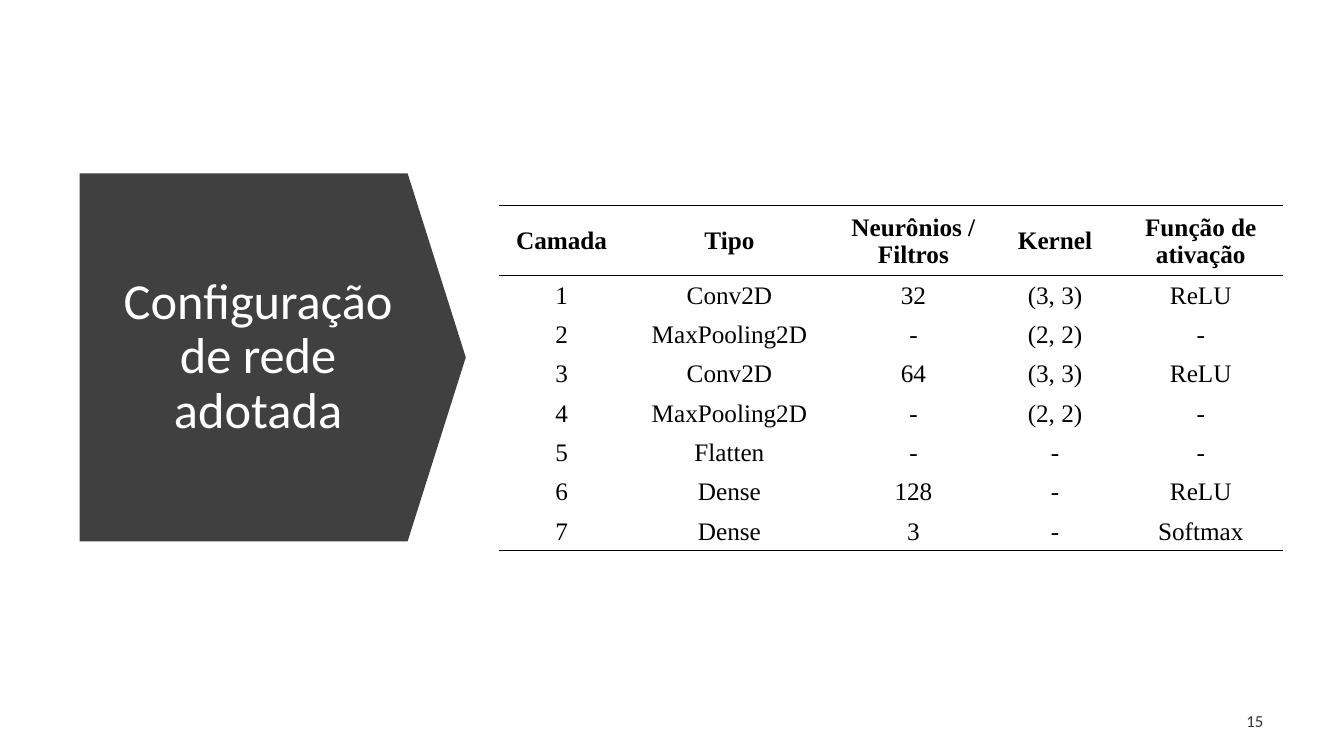
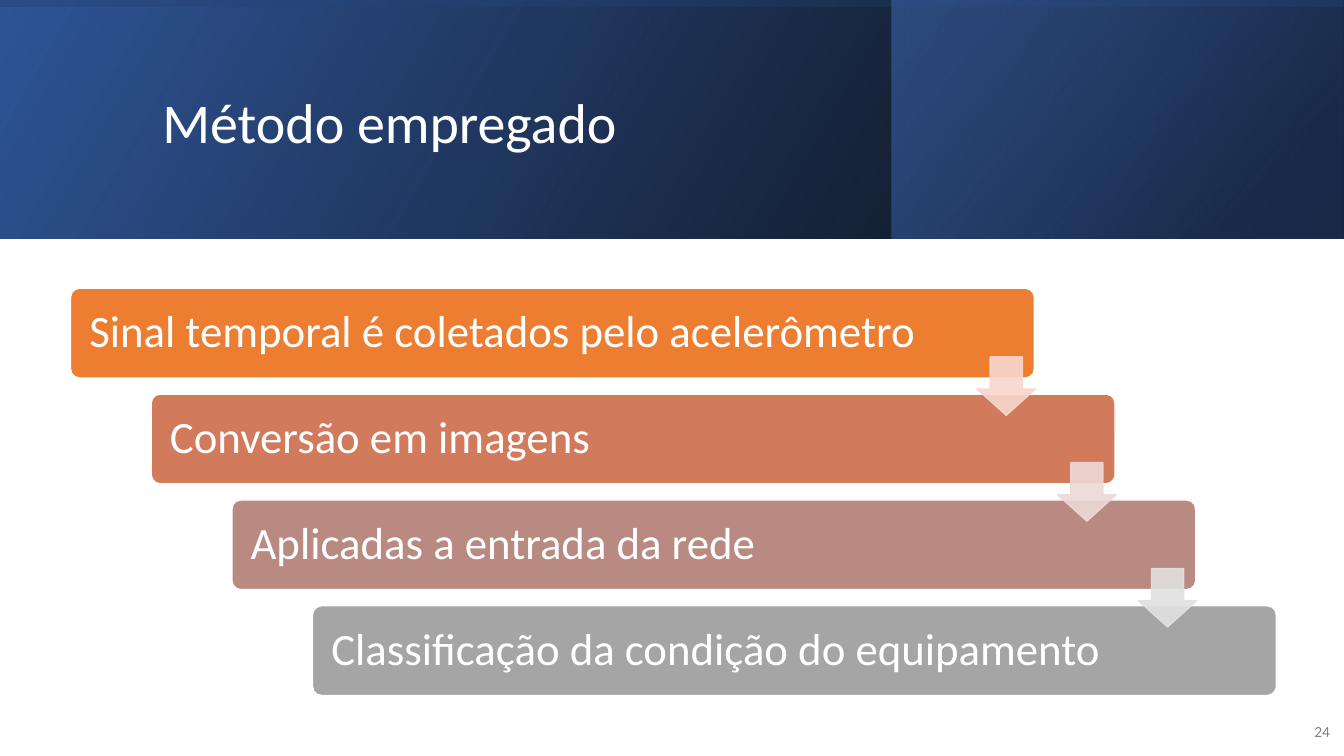
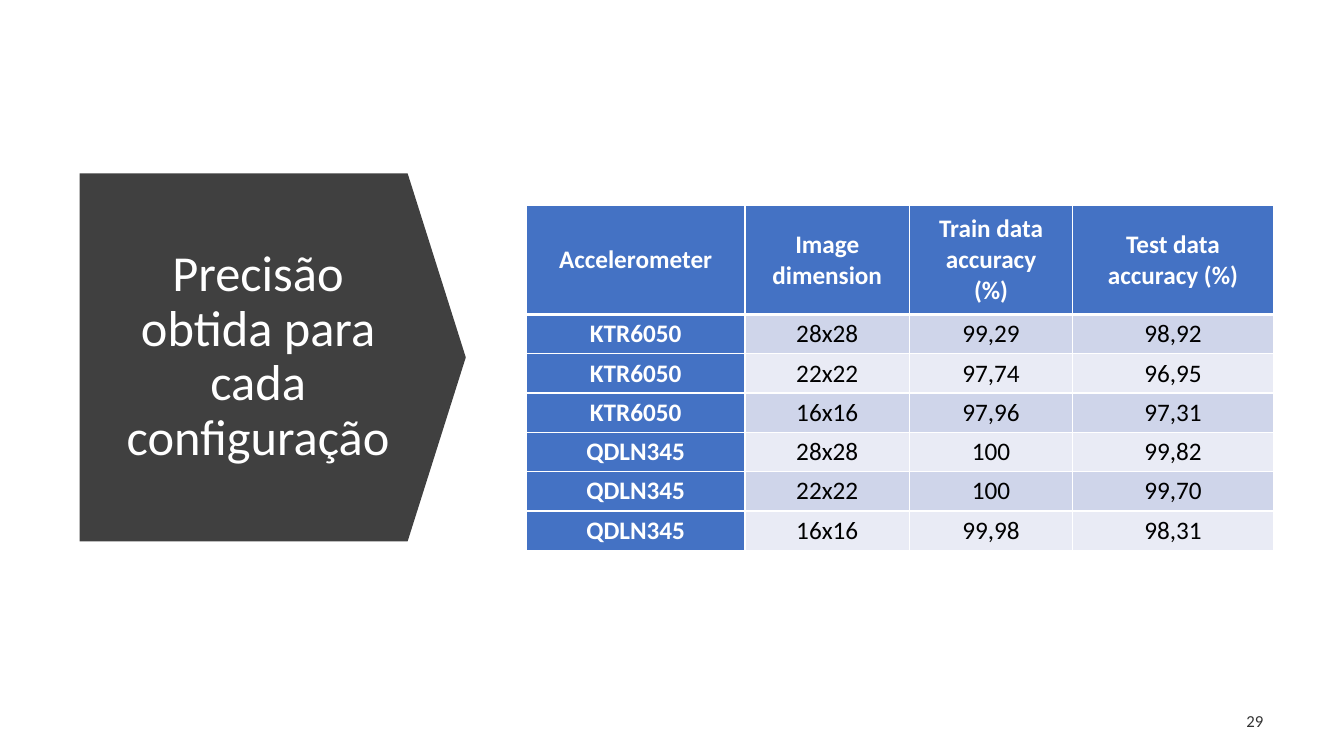
from pptx import Presentation
from pptx.dml.color import RGBColor
from pptx.enum import shapes, text
from pptx.oxml import ns
from pptx.util import Inches, Pt
from lxml import etree


class Theme:
    sans, serif = "Calibri", "Times New Roman"
    white, black, grey, dark = "FFFFFF", "000000", "808080", "404040"
    blue, navy, deep = "4472C4", "2F5597", "203864"
    stripes = ["CFD5EA", "E9EBF5"]
    steps = ["ED7D31", "D17B5C", "B98A82", "A5A5A5"]
    arrows = ["F8D7CE", "EDD9D7", "E1E1E1"]
    step_size, cell_size = 32, 18


SHAPE, ALIGN = shapes.MSO_SHAPE, text.PP_ALIGN
MIDDLE = text.MSO_ANCHOR.MIDDLE


def put(tf, words, size, color, align=ALIGN.LEFT, font=Theme.sans, bold=False, spacing=None):
    tf.text = words
    for p in tf.paragraphs:
        p.alignment, p.line_spacing = align, spacing
        for r in p.runs:
            for k, v in {"name": font, "size": Pt(size), "bold": bold}.items():
                setattr(r.font, k, v)
            r.font.color.rgb = RGBColor.from_string(color)


def fade(el, *percents):
    for c, percent in zip(el.iter(ns.qn("a:srgbClr")), percents):
        etree.SubElement(c, ns.qn("a:alpha"), val=str(percent * 1000))


prs = Presentation()
prs.slide_width, prs.slide_height = Inches(13.33), Inches(7.5)

side = {"title_at": (1.12, 2.15, 2.88, 2.79), "title_size": 36, "align": ALIGN.CENTER,
        "number_at": (12.07, 6.95, 0.56, 0.4), "number_size": 12,
        "number_color": Theme.black, "number_alpha": 80}
banner = {"title_at": (1.51, 0.38, 10.63, 1.72), "title_size": 40, "align": ALIGN.LEFT,
          "number_at": (12.8, 7.06, 0.49, 0.4), "number_size": 11,
          "number_color": Theme.grey, "number_alpha": 100}
bands = [
    ((0, 0, 13.33, 2.37), 0, 330, [(0, Theme.black, 96), (1, Theme.navy, 100)]),
    ((8.84, 0, 4.48, 2.37), 0, 320, [(0.19, Theme.deep, 68), (1, Theme.blue, 48)]),
    ((5.48, -5.48, 2.37, 13.33), 270, 350, [(0.23, Theme.navy, 16), (0.99, Theme.black, 45)]),
]

for title, number, look in [
    ("Configuração de rede adotada", "15", side),
    ("Método empregado", "24", banner),
    ("Precisão obtida para cada configuração", "29", side),
]:
    s = prs.slides.add_slide(prs.slide_layouts[5])
    if look is side:
        sp = s.shapes.add_shape(SHAPE.DOWN_ARROW, *map(Inches, (0.88, 1.63, 3.65, 3.83)))
        sp.rotation, sp.shadow.inherit = 270, False
        sp.adjustments[0], sp.adjustments[1] = 1, 0.158
        sp.fill.solid()
        sp.fill.fore_color.rgb = RGBColor.from_string(Theme.dark)
        sp.line.fill.background()
    else:
        for at, turn, angle, stops in bands:
            sp = s.shapes.add_shape(SHAPE.RECTANGLE, *map(Inches, at))
            sp.rotation, sp.shadow.inherit = turn, False
            sp.element.spPr.xfrm.set("flipH", "1")
            sp.line.fill.background()
            sp.fill.gradient()
            sp.fill.gradient_angle = 360 - angle
            for stop, (position, color, _) in zip(sp.fill.gradient_stops, stops):
                stop.position = position
                stop.color.rgb = RGBColor.from_string(color)
            fade(sp.element.spPr, *[alpha for _, _, alpha in stops])

    sp = s.shapes.title
    sp.left, sp.top, sp.width, sp.height = map(Inches, look["title_at"])
    sp.element.getparent().append(sp.element)
    tf = sp.text_frame
    tf.word_wrap, tf.vertical_anchor, tf.auto_size = True, MIDDLE, text.MSO_AUTO_SIZE.NONE
    put(tf, title, look["title_size"], Theme.white, look["align"], spacing=0.9)

    sp = s.shapes.add_textbox(*map(Inches, look["number_at"]))
    tf = sp.text_frame
    tf.word_wrap, tf.vertical_anchor = True, MIDDLE
    put(tf, number, look["number_size"], look["number_color"], ALIGN.RIGHT)
    fade(sp.element.txBody, look["number_alpha"])

network = {
    "left": 4.95, "cols": [1.24, 2.09, 1.56, 1.25, 1.64], "head": 0.69,
    "margins": (0.13, 0.02, 0.13, 0), "font": Theme.serif, "filled": False,
    "line": Theme.black, "grid": 0, "rule": 1,
    "rows": [
        ["Camada", "Tipo", "Neurônios / Filtros", "Kernel", "Função de ativação"],
        ["1", "Conv2D", "32", "(3, 3)", "ReLU"],
        ["2", "MaxPooling2D", "-", "(2, 2)", "-"],
        ["3", "Conv2D", "64", "(3, 3)", "ReLU"],
        ["4", "MaxPooling2D", "-", "(2, 2)", "-"],
        ["5", "Flatten", "-", "-", "-"],
        ["6", "Dense", "128", "-", "ReLU"],
        ["7", "Dense", "3", "-", "Softmax"],
    ],
}
accuracy = {
    "left": 5.22, "cols": [2.17, 1.63, 1.62, 1.99], "head": 1.08,
    "margins": (0.08, 0, 0.08, 0), "font": Theme.sans, "filled": True,
    "line": Theme.white, "grid": 1, "rule": 3,
    "rows": [
        ["Accelerometer", "Image dimension", "Train data accuracy\n(%)", "Test data accuracy (%)"],
        ["KTR6050", "28x28", "99,29", "98,92"],
        ["KTR6050", "22x22", "97,74", "96,95"],
        ["KTR6050", "16x16", "97,96", "97,31"],
        ["QDLN345", "28x28", "100", "99,82"],
        ["QDLN345", "22x22", "100", "99,70"],
        ["QDLN345", "16x16", "99,98", "98,31"],
    ],
}

for s, t in [(prs.slides[0], network), (prs.slides[2], accuracy)]:
    rows, grid, rule = t["rows"], t["grid"], t["rule"]
    last = len(rows) - 1
    heights = [t["head"]] + [0.39] * last
    box = t["left"], 2.04, sum(t["cols"]), sum(heights)
    tbl = s.shapes.add_table(len(rows), len(t["cols"]), *map(Inches, box)).table
    tbl.first_row = tbl.horz_banding = False
    for col, width in zip(tbl.columns, t["cols"]):
        col.width = Inches(width)
    for i, row in enumerate(rows):
        tbl.rows[i].height = Inches(heights[i])
        top = 1 if i == 0 else rule if i == 1 else grid
        bottom = rule if i == 0 else 1 if i == last else grid
        for j, words in enumerate(row):
            cell = tbl.cell(i, j)
            key = i == 0 or (t["filled"] and j == 0)
            for k, v in zip(("left", "top", "right", "bottom"), t["margins"]):
                setattr(cell, "margin_" + k, Inches(v))
            cell.vertical_anchor = MIDDLE
            color = Theme.white if key and t["filled"] else Theme.black
            put(cell.text_frame, words, Theme.cell_size, color, ALIGN.CENTER, t["font"], key)
            if t["filled"]:
                cell.fill.solid()
                fill = Theme.blue if key else Theme.stripes[(i - 1) % 2]
                cell.fill.fore_color.rgb = RGBColor.from_string(fill)
            else:
                cell.fill.background()
            tcPr = cell._tc.get_or_add_tcPr()
            for n, (edge, width) in enumerate(zip("LRTB", (grid, grid, top, bottom))):
                ln = etree.Element(ns.qn("a:ln" + edge), w=str(Pt(width)))
                if width:
                    paint = etree.SubElement(ln, ns.qn("a:solidFill"))
                    etree.SubElement(paint, ns.qn("a:srgbClr"), val=t["line"])
                else:
                    etree.SubElement(ln, ns.qn("a:noFill"))
                tcPr.insert(n, ln)

s = prs.slides[1]
steps = ["Sinal temporal é coletados pelo acelerômetro", "Conversão em imagens",
         "Aplicadas a entrada da rede", "Classificação da condição do equipamento"]
flow = [(SHAPE.ROUNDED_RECTANGLE, (0.7, 2.86, 9.56, 0.89), [0.1], Theme.steps, steps),
        (SHAPE.DOWN_ARROW, (9.69, 3.54, 0.58, 0.58), [0.55, 0.45], Theme.arrows, [])]
for kind, (left, top, width, height), adjust, colors, labels in flow:
    for i, color in enumerate(colors):
        at = left + 0.8 * i, top + 1.05 * i, width, height
        sp = s.shapes.add_shape(kind, *map(Inches, at))
        sp.shadow.inherit = False
        for n, v in enumerate(adjust):
            sp.adjustments[n] = v
        sp.fill.solid()
        sp.fill.fore_color.rgb = RGBColor.from_string(color)
        sp.line.width = Pt(1)
        sp.line.color.rgb = RGBColor.from_string(Theme.white if labels else color)
        if labels:
            tf = sp.text_frame
            tf.word_wrap, tf.vertical_anchor = True, MIDDLE
            tf.margin_left = tf.margin_right = Inches(0.16)
            put(tf, labels[i], Theme.step_size, Theme.white, spacing=0.9)
        else:
            fade(sp.element.spPr, 90, 90)

prs.save("out.pptx")
